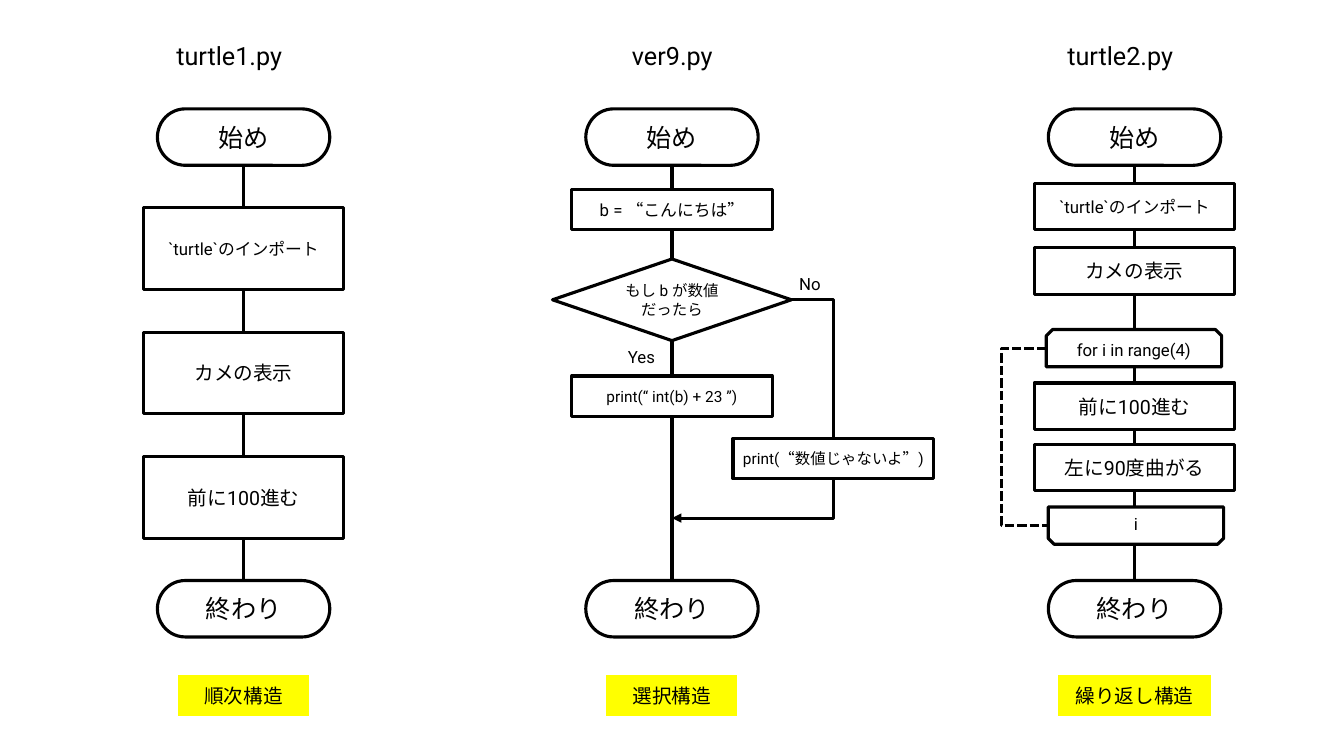
from dataclasses import dataclass

from lxml import etree
from pptx import Presentation
from pptx import util as u
from pptx.dml.color import RGBColor
from pptx.enum import dml, shapes, text
from pptx.oxml.ns import qn

Kind = shapes.MSO_SHAPE
Align = text.PP_ALIGN


@dataclass(frozen=True)
class Theme:
    font: str = "Roboto"
    ink: RGBColor = RGBColor(0, 0, 0)
    paper: RGBColor = RGBColor(255, 255, 255)
    marker: RGBColor = RGBColor(255, 255, 0)
    stroke: float = 2.25
    large: int = 18
    medium: int = 14
    small: int = 12
    tiny: int = 11


def apply(target, values):
    for name, value in values.items():
        setattr(target, name, value)


class FlowSlide:
    def __init__(self, slide, theme):
        self.slide = slide
        self.theme = theme

    def put_words(self, owner, words, size, align, frame_format):
        frame = owner.text_frame
        apply(frame, frame_format)
        paragraph = frame.paragraphs[0]
        paragraph.alignment = align
        run = paragraph.add_run()
        run.text = words
        apply(run.font, {"name": self.theme.font, "size": u.Pt(size)})
        run.font.color.rgb = self.theme.ink

    def outline(self, line):
        line.color.rgb = self.theme.ink
        line.width = u.Pt(self.theme.stroke)

    def box(self, words, center, top, width, height, size,
            kind=Kind.FLOWCHART_PROCESS, fill=None, cuts=()):
        shape = self.slide.shapes.add_shape(
            kind, u.Pt(center - width / 2), u.Pt(top), u.Pt(width), u.Pt(height))
        shape.shadow.inherit = False
        shape.fill.solid()
        shape.fill.fore_color.rgb = fill or self.theme.paper
        if fill:
            shape.line.fill.background()
        else:
            self.outline(shape.line)
        for index, cut in enumerate(cuts):
            shape.adjustments[index] = cut
        self.put_words(shape, words, size, Align.CENTER,
                       {"word_wrap": True, "vertical_anchor": text.MSO_ANCHOR.MIDDLE})

    def label(self, words, left, top, width, size, align=Align.LEFT, **frame_format):
        holder = self.slide.shapes.add_textbox(
            u.Pt(left), u.Pt(top), u.Pt(width), u.Pt(21.6))
        self.put_words(holder, words, size, align,
                       {"auto_size": text.MSO_AUTO_SIZE.SHAPE_TO_FIT_TEXT, **frame_format})

    def connect(self, start, end, kind=shapes.MSO_CONNECTOR.STRAIGHT):
        link = self.slide.shapes.add_connector(
            kind, *(u.Pt(value) for value in (*start, *end)))
        self.outline(link.line)
        etree.SubElement(link._element.spPr, qn("a:effectLst"))
        return link

    def corner(self, start, end, quarter_turn=False, arrow=False):
        if quarter_turn:
            middle_x, middle_y = (start[0] + end[0]) / 2, (start[1] + end[1]) / 2
            half_w, half_h = abs(end[1] - start[1]) / 2, abs(end[0] - start[0]) / 2
            start = middle_x - half_w, middle_y - half_h
            end = middle_x + half_w, middle_y + half_h
        link = self.connect(start, end, shapes.MSO_CONNECTOR.ELBOW)
        properties = link._element.spPr
        properties.find(qn("a:prstGeom")).set("prst", "bentConnector2")
        if quarter_turn:
            properties.find(qn("a:xfrm")).set("rot", "5400000")
        if arrow:
            etree.SubElement(link.get_or_add_ln(), qn("a:tailEnd"), type="triangle")

    def bracket(self, start, end, reach):
        link = self.connect(start, end, shapes.MSO_CONNECTOR.ELBOW)
        link.line.dash_style = dml.MSO_LINE.SQUARE_DOT
        guides = link._element.spPr.find(qn("a:prstGeom")).get_or_add_avLst()
        ratio = round(-reach / (end[0] - start[0]) * 100000)
        etree.SubElement(guides, qn("a:gd"), name="adj1", fmla=f"val {ratio}")

    def column(self, heading, structure, center, tag_width, align=Align.LEFT):
        first, last, height = 77.8, 414.7, 40.3
        self.connect((center, first + height), (center, last))
        self.label(heading, center - 48, 28.8, 96.5, self.theme.large, align,
                   word_wrap=True, margin_left=0, margin_right=0,
                   margin_top=0, margin_bottom=0)
        for words, top in (("始め", first), ("終わり", last)):
            self.box(words, center, top, 123.1, height, self.theme.large,
                     Kind.FLOWCHART_TERMINATOR)
        self.box(structure, center, 482.4, tag_width, 28.8, self.theme.medium,
                 fill=self.theme.marker)


def main():
    deck = Presentation()
    apply(deck, {"slide_width": u.Pt(960), "slide_height": u.Pt(540)})
    theme = Theme()
    flow = FlowSlide(deck.slides.add_slide(deck.slide_layouts[6]), theme)
    step_width = 143.3
    sequence, choice, loop = 174, 480, 810.4

    flow.column("turtle1.py", "順次構造", sequence, 93.6)
    sequence_steps = (("`turtle`のインポート", theme.small),
                      ("カメの表示", theme.medium),
                      ("前に100進む", theme.medium))
    for index, (words, size) in enumerate(sequence_steps):
        flow.box(words, sequence, 148.3 + 88.9 * index, step_width, 58.3, size)

    flow.column("turtle2.py", "繰り返し構造", loop, 108.7)
    for words, top, size in (("`turtle`のインポート", 131, theme.small),
                             ("カメの表示", 177.1, theme.medium),
                             ("前に100進む", 273.6, theme.medium),
                             ("左に90度曲がる", 317.5, theme.medium)):
        flow.box(words, loop, top, step_width, 33.1, size)
    for words, center, top, cuts in (("for i in range(4)", 810, 235.4, (0.17, 0)),
                                     ("i", 811.4, 362.2, (0, 0.16))):
        flow.box(words, center, top, 125.3, 26.6, theme.small,
                 Kind.SNIP_2_SAME_RECTANGLE, cuts=cuts)
    flow.bracket((747.4, 248.7), (748.8, 375.5), 32.4)

    flow.column("ver9.py", "選択構造", choice, 93.6, Align.CENTER)
    no_branch, merge = 595.2, 370.1
    for words, center, top, size in (
            ("b = “こんにちは”", choice, 135.4, theme.small),
            ("print(“ int(b) + 23 ”)", choice, 268.6, theme.tiny),
            ("print(“数値じゃないよ”)", no_branch, 313.2, theme.tiny)):
        flow.box(words, center, top, step_width, 28.8, size)
    flow.box("もし b が数値だったら", choice, 185, 170.6, 58.3, theme.tiny,
             Kind.FLOWCHART_DECISION)
    flow.corner((565.3, 214.2), (no_branch, 313.2))
    for answer, left, top, width in (("No", 563.8, 192.2, 31), ("Yes", 441.4, 244.1, 36)):
        flow.label(answer, left, top, width, theme.small, word_wrap=False)
    flow.corner((no_branch, 342), (choice, merge), quarter_turn=True, arrow=True)

    deck.save("out.pptx")


if __name__ == "__main__":
    main()
